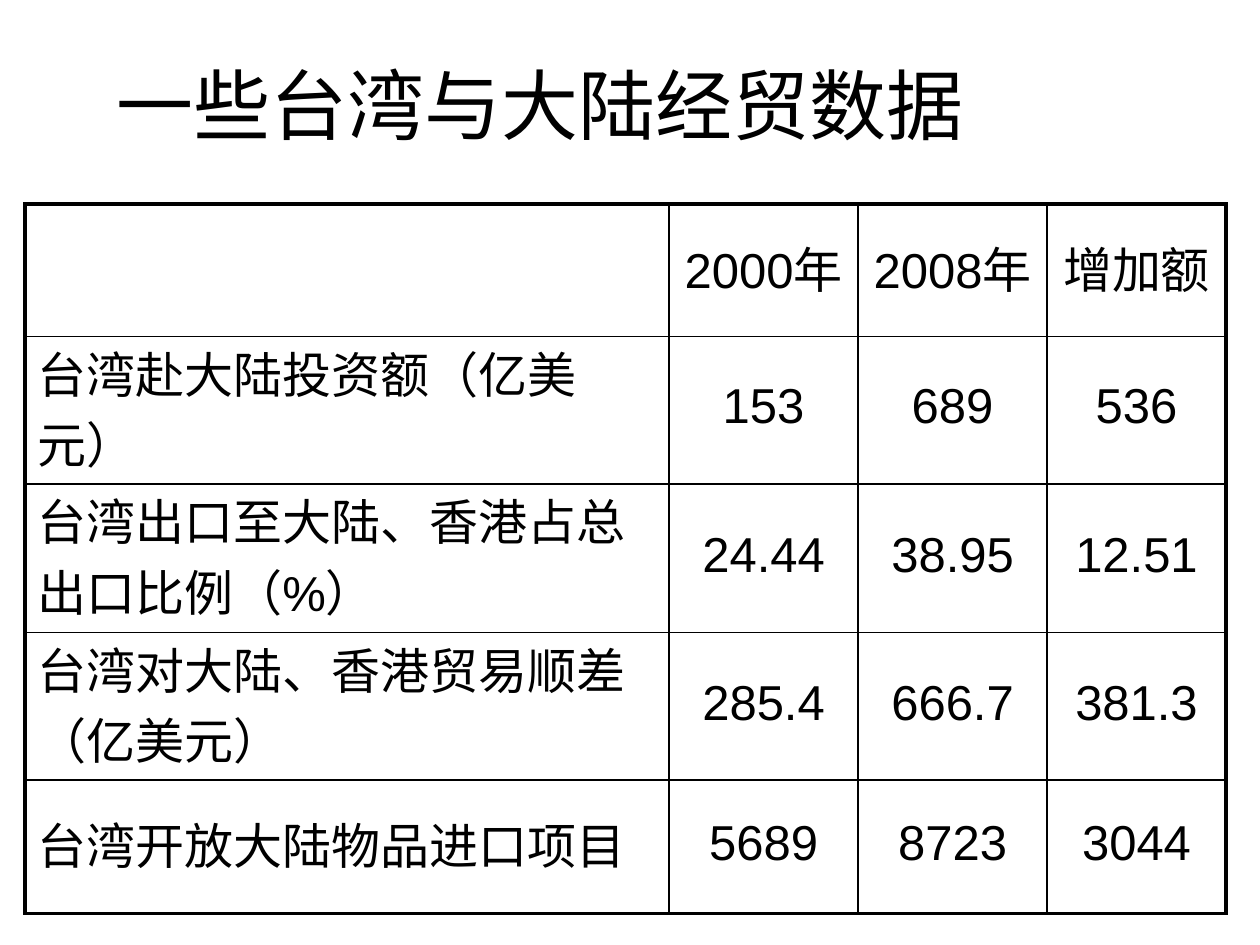
from lxml import etree
from pptx import Presentation
from pptx.dml.color import RGBColor
from pptx.enum.text import MSO_ANCHOR, PP_ALIGN
from pptx.oxml.ns import qn
from pptx.util import Inches, Pt

BLACK = RGBColor(0, 0, 0)
WHITE = RGBColor(255, 255, 255)
LEFT = PP_ALIGN.LEFT
CENTER = PP_ALIGN.CENTER
MIDDLE = MSO_ANCHOR.MIDDLE
THIN, THICK = Pt(1), Pt(2.25)

TITLE = "一些台湾与大陆经贸数据"
ROWS = [
    ["", "2000年", "2008年", "增加额"],
    ["台湾赴大陆投资额（亿美元）", "153", "689", "536"],
    ["台湾出口至大陆、香港占总出口比例（%）", "24.44", "38.95", "12.51"],
    ["台湾对大陆、香港贸易顺差（亿美元）", "285.4", "666.7", "381.3"],
    ["台湾开放大陆物品进口项目", "5689", "8723", "3044"],
]
WIDTHS = [5.11, 1.5, 1.5, 1.42]
HEIGHTS = [1.05, 1.17, 1.18, 1.17, 1.06]
HEAD = {"name": "Karla", "size": Pt(44)}
BODY = {"name": "Arial", "size": Pt(28)}
CELL = {
    "vertical_anchor": MIDDLE,
    "margin_left": Inches(0.1),
    "margin_right": Inches(0.1),
    "margin_top": 0,
    "margin_bottom": Inches(0.05),
}


def format_all(item, values):
    for name, value in values.items():
        setattr(item, name, value)


def write(frame, text, font, align):
    para = frame.paragraphs[0]
    para.alignment = align
    run = para.add_run()
    run.text = text
    format_all(run.font, font)
    run.font.color.rgb = BLACK


def border(cell, sides):
    props = cell._tc.get_or_add_tcPr()
    for spot, (side, width) in enumerate(sides.items()):
        line = etree.Element(qn(f"a:ln{side}"), w=str(width))
        fill = etree.SubElement(line, qn("a:solidFill"))
        etree.SubElement(fill, qn("a:srgbClr"), val=str(BLACK))
        props.insert(spot, line)


def add_title(slide, left, top, width, height):
    box = slide.shapes.add_textbox(left, top, width, height)
    format_all(box.text_frame, {"word_wrap": True, "vertical_anchor": MIDDLE})
    write(box.text_frame, TITLE, HEAD, CENTER)


def add_data(slide, left, top, width, height):
    end_row, end_col = len(ROWS) - 1, len(WIDTHS) - 1
    table = slide.shapes.add_table(
        len(ROWS), len(WIDTHS), left, top, width, height
    ).table
    format_all(table, {"first_row": False, "horz_banding": False})
    for col, size in zip(table.columns, WIDTHS):
        col.width = int(width * size / sum(WIDTHS))
    for row, size in zip(table.rows, HEIGHTS):
        row.height = int(height * size / sum(HEIGHTS))
    for r, texts in enumerate(ROWS):
        for c, text in enumerate(texts):
            cell = table.cell(r, c)
            format_all(cell, CELL)
            cell.fill.background()
            border(cell, {
                "L": THICK if c == 0 else THIN,
                "R": THICK if c == end_col else THIN,
                "T": THICK if r == 0 else THIN,
                "B": THICK if r == end_row else THIN,
            })
            if text:
                write(cell.text_frame, text, BODY, CENTER if c else LEFT)


def main():
    deck = Presentation()
    deck.slide_width, deck.slide_height = Inches(10), Inches(7.5)
    slide = deck.slides.add_slide(deck.slide_layouts[6])
    slide.background.fill.solid()
    slide.background.fill.fore_color.rgb = WHITE
    add_title(slide, Inches(0.2), Inches(0.2), Inches(8.18), Inches(1.25))
    add_data(slide, Inches(0.2), Inches(1.62), Inches(9.53), Inches(5.63))
    deck.save("out.pptx")


if __name__ == "__main__":
    main()
